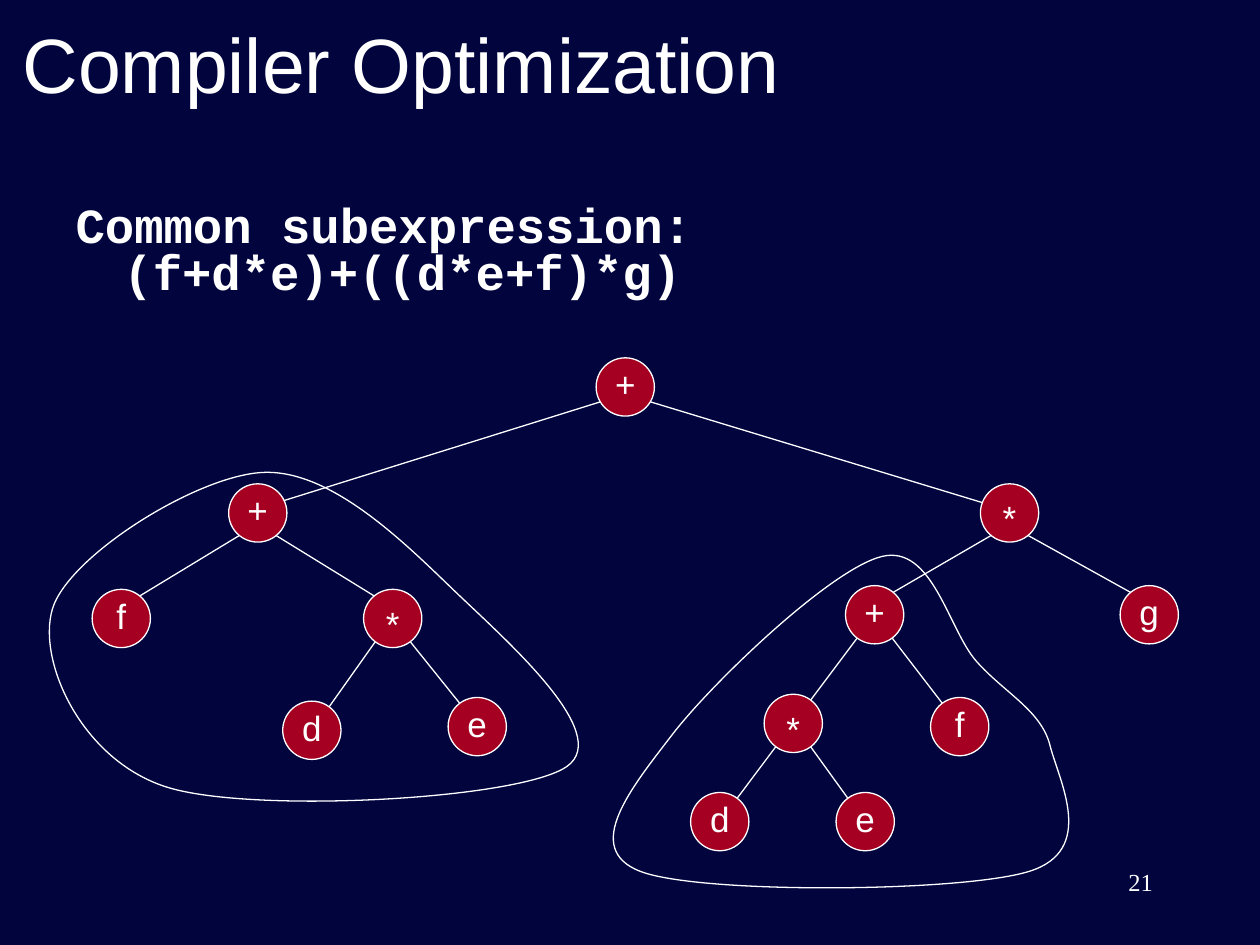
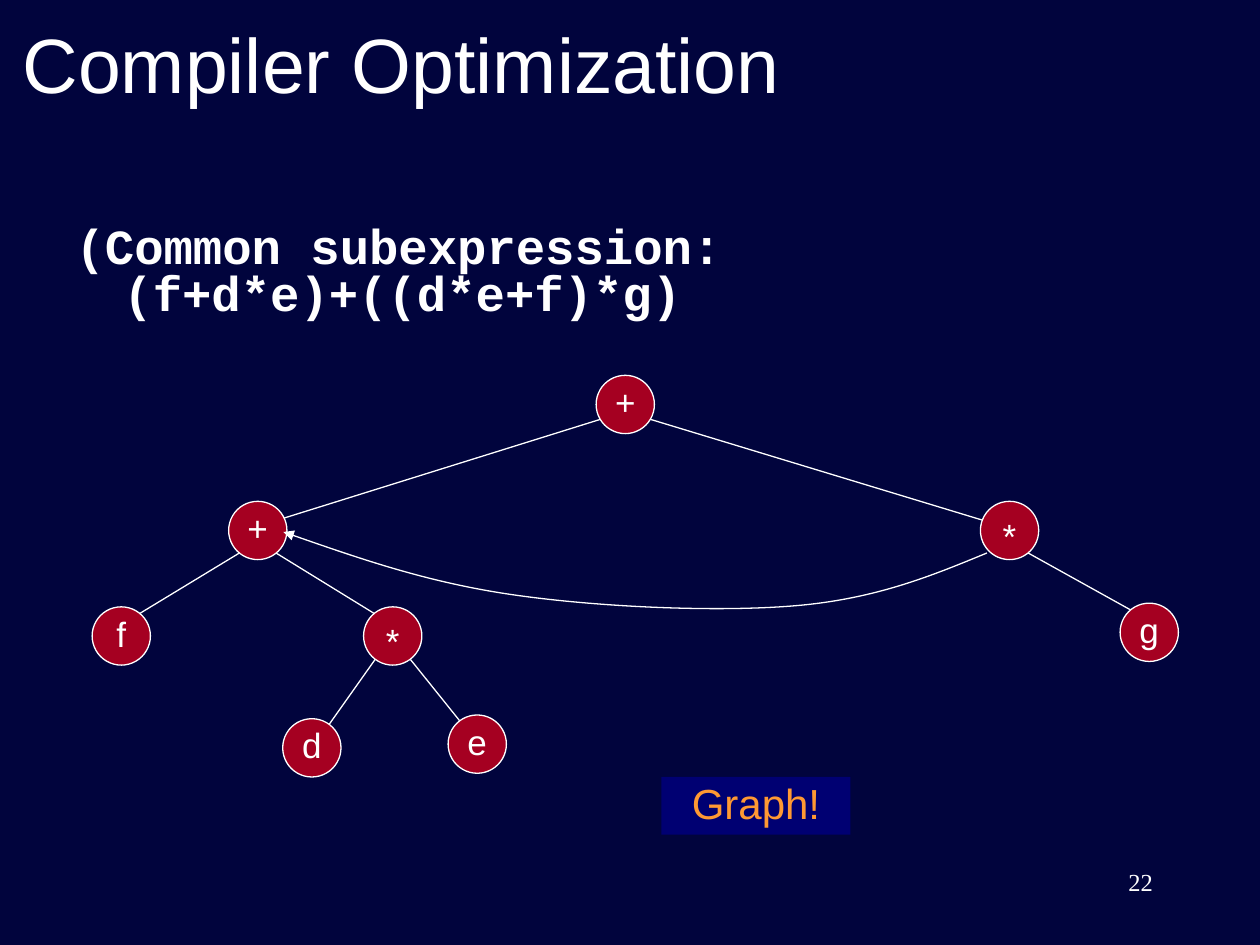
from lxml import etree
from pptx import Presentation
from pptx.dml.color import RGBColor
from pptx.enum.shapes import MSO_CONNECTOR, MSO_SHAPE
from pptx.enum.text import MSO_ANCHOR, MSO_AUTO_SIZE, PP_ALIGN
from pptx.oxml.ns import qn
from pptx.util import Inches, Pt

STRAIGHT = MSO_CONNECTOR.STRAIGHT
OVAL, RECTANGLE = MSO_SHAPE.OVAL, MSO_SHAPE.RECTANGLE
TOP, MIDDLE = MSO_ANCHOR.TOP, MSO_ANCHOR.MIDDLE
LEFT, CENTER, RIGHT = PP_ALIGN.LEFT, PP_ALIGN.CENTER, PP_ALIGN.RIGHT

NAVY = RGBColor(0x01, 0x04, 0x3D)
BLUE = RGBColor(0x00, 0x00, 0x72)
RED = RGBColor(0xA5, 0x00, 0x21)
ORANGE = RGBColor(0xFF, 0x99, 0x33)
WHITE = RGBColor(0xFF, 0xFF, 0xFF)

prs = Presentation()
prs.slide_width, prs.slide_height = Inches(10), Inches(7.5)
UNIT = prs.slide_width / 120  # square grid of 120 columns and 90 rows
NODE_SIZE = 5.55
SYMBOL_WIDTH, SYMBOL_HEIGHT = 7.05, 5.25
LINE_WIDTH = Pt(0.75)

# Node: symbol, centre column, centre row, parent
SHARED_NODES = {
    "root": ("+", 59.55, 36.85, None),
    "sum": ("+", 24.55, 48.85, "root"),
    "product": ("*", 96.15, 48.85, "root"),
    "sum f": ("f", 11.55, 58.9, "sum"),
    "sum d*e": ("*", 37.4, 58.9, "sum"),
    "sum d": ("d", 29.7, 69.55, "sum d*e"),
    "sum e": ("e", 45.45, 69.2, "sum d*e"),
    "g": ("g", 109.45, 58.55, "product"),
}
REPEATED_NODES = {
    "copy": ("+", 83.3, 58.55, "product"),
    "copy d*e": ("*", 75.55, 68.9, "copy"),
    "copy f": ("f", 91.4, 69.2, "copy"),
    "copy d": ("d", 68.55, 78.25, "copy d*e"),
    "copy e": ("e", 82.4, 78.25, "copy d*e"),
}
LEFT_LOOP = [(25, 45), (5, 58), (16, 75), (54, 73), (43, 56)]
RIGHT_LOOP = [(84, 53), (64, 70), (61, 83), (98, 83), (100, 71), (93, 63)]
REUSE_ARROW = [(94, 51), (76, 56), (49, 55), (27, 49)]

SLIDES = [
    dict(number="21", heading="Common subexpression:", body_box=(6, 19, 112, 11),
         nodes=SHARED_NODES | REPEATED_NODES, drop=0,
         curves=[(LEFT_LOOP, True), (RIGHT_LOOP, True)], note=None),
    dict(number="22", heading="(Common subexpression:", body_box=(6, 21, 108, 11),
         nodes=SHARED_NODES, drop=1.67,
         curves=[(REUSE_ARROW, False)], note="Graph!"),
]


def write(shape, text, box=None, size=20, font="Arial", color=WHITE, bold=False,
          align=LEFT, anchor=TOP):
    """Place the shape on the grid if a box is given, fill in its text, return the paragraph."""
    if box:
        shape.left, shape.top, shape.width, shape.height = (round(v * UNIT) for v in box)
    frame = shape.text_frame
    frame.auto_size = MSO_AUTO_SIZE.NONE
    frame.word_wrap = True
    frame.vertical_anchor = anchor
    frame.text = text
    paragraph = frame.paragraphs[0]
    paragraph.alignment = align
    for run in paragraph.runs:
        run.font.size, run.font.name, run.font.bold = Pt(size), font, bold
        run.font.color.rgb = color
    return paragraph


def smooth(freeform, anchors, closed):
    """Turn the freeform's straight segments into a curve through the anchors."""
    if closed:
        knots = [anchors[-1], *anchors, *anchors[:2]]
    else:
        before, after = (tuple(2.5 * a - 2 * b + 0.5 * c for a, b, c in zip(*ends))
                         for ends in (anchors[:3], anchors[:-4:-1]))
        knots = [before, *anchors, after]
    left, top = (min(values) for values in zip(*anchors))
    segments = freeform._element.findall(".//" + qn("a:lnTo"))
    for segment, a, b, c, d in zip(segments, knots, knots[1:], knots[2:], knots[3:]):
        bezier = etree.Element(qn("a:cubicBezTo"))
        controls = [[q + (r - p) / 6 for p, q, r in zip(a, b, c)],
                    [q + (p - r) / 6 for p, q, r in zip(b, c, d)], c]
        for x, y in controls:
            etree.SubElement(bezier, qn("a:pt"), x=str(round((x - left) * UNIT)),
                             y=str(round((y - top) * UNIT)))
        segment.getparent().replace(segment, bezier)


prs.slide_master.background.fill.solid()
prs.slide_master.background.fill.fore_color.rgb = NAVY

for content in SLIDES:
    slide = prs.slides.add_slide(prs.slide_layouts[1])
    shapes = slide.shapes
    nodes, drop = content["nodes"], content["drop"]

    write(shapes.title, "Compiler Optimization", (0.95, 0, 108, 12), size=44, anchor=MIDDLE)
    expression = write(slide.placeholders[1], content["heading"] + "\v(f+d*e)+((d*e+f)*g)",
                       content["body_box"], size=28, font="Courier New", bold=True)
    expression.line_spacing, expression.space_before = 0.8, Pt(7)
    properties = expression._p.get_or_add_pPr()
    properties.set("marL", str(Inches(0.38)))
    properties.set("indent", str(-Inches(0.38)))
    etree.SubElement(properties, qn("a:buNone"))

    # Edges leave the parent's lower side and meet the child's upper side
    for symbol, x, y, parent in nodes.values():
        if parent is None:
            continue
        _, parent_x, parent_y, _ = nodes[parent]
        side = 1 if x > parent_x else -1
        leave, arrive = (1.15, 0.85) if parent == "root" else (2, 1.95)
        inset = 2.15 if (parent, side) == ("root", 1) else 1.45
        ends = (parent_x + 1.5 * side, parent_y + leave + drop,
                x - inset * side, y - arrive + drop)
        edge = shapes.add_connector(STRAIGHT, *(round(v * UNIT) for v in ends))
        edge.line.color.rgb, edge.line.width = WHITE, LINE_WIDTH
        etree.SubElement(edge._element.spPr, qn("a:effectLst"))

    for symbol, x, y, _ in nodes.values():
        node = shapes.add_group_shape().shapes
        top = y - NODE_SIZE / 2 + drop
        circle_box = (x - NODE_SIZE / 2, top, NODE_SIZE, NODE_SIZE)
        circle = node.add_shape(OVAL, *(round(v * UNIT) for v in circle_box))
        circle.shadow.inherit = False
        circle.fill.solid()
        circle.fill.fore_color.rgb = RED
        circle.line.color.rgb, circle.line.width = WHITE, LINE_WIDTH
        symbol_box = (x - SYMBOL_WIDTH / 2, top + (0.65 if symbol == "*" else -0.1),
                      SYMBOL_WIDTH, SYMBOL_HEIGHT)
        write(node.add_textbox(*(round(v * UNIT) for v in symbol_box)), symbol, align=CENTER)

    for anchors, closed in content["curves"]:
        anchors = [(x, y + drop) for x, y in anchors]
        points = [(round(x * UNIT), round(y * UNIT)) for x, y in anchors]
        builder = shapes.build_freeform(*points[0])
        builder.add_line_segments(points[1:] + points[:1] * closed, close=closed)
        curve = builder.convert_to_shape()
        smooth(curve, anchors, closed)
        curve.shadow.inherit = False
        curve.fill.background()
        curve.line.color.rgb, curve.line.width = WHITE, LINE_WIDTH
        if not closed:
            etree.SubElement(curve.line._get_or_add_ln(), qn("a:tailEnd"), type="triangle")

    if content["note"]:
        note = shapes.add_shape(RECTANGLE, 0, 0, 0, 0)
        note.shadow.inherit = False
        note.fill.solid()
        note.fill.fore_color.rgb = BLUE
        note.line.fill.background()
        write(note, content["note"], (63, 74, 18, 5.5), size=24, color=ORANGE,
              align=CENTER, anchor=MIDDLE).line_spacing = 0.9

    write(shapes.add_textbox(0, 0, 0, 0), content["number"], (86, 82, 25, 6),
          size=14, font="Times New Roman", align=RIGHT)

prs.save("out.pptx")
